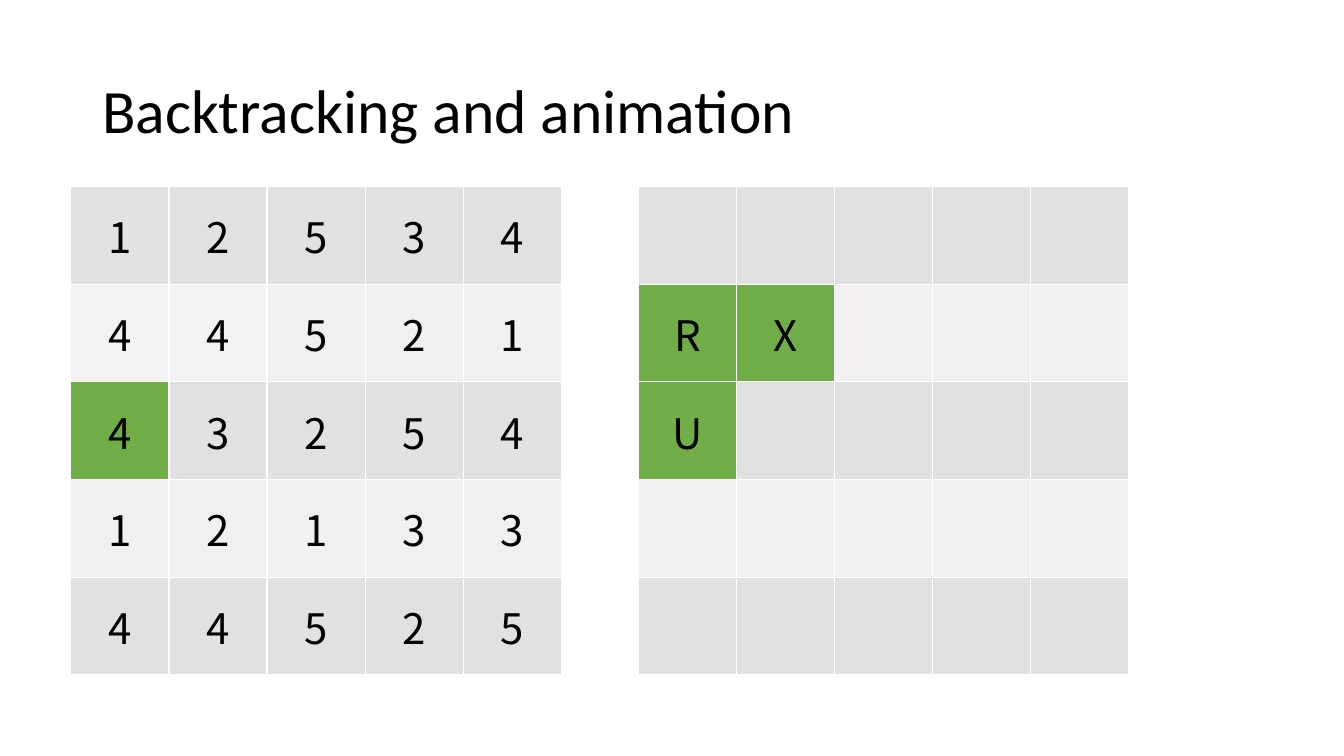
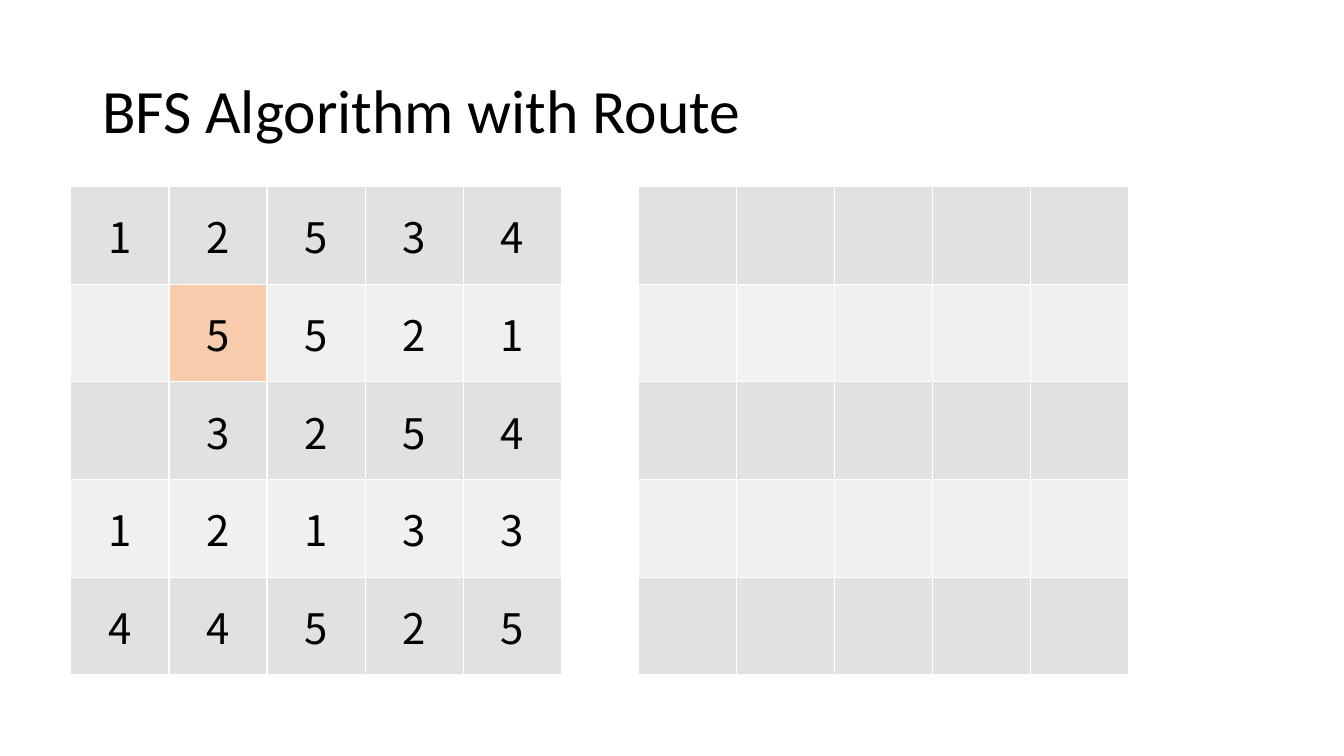
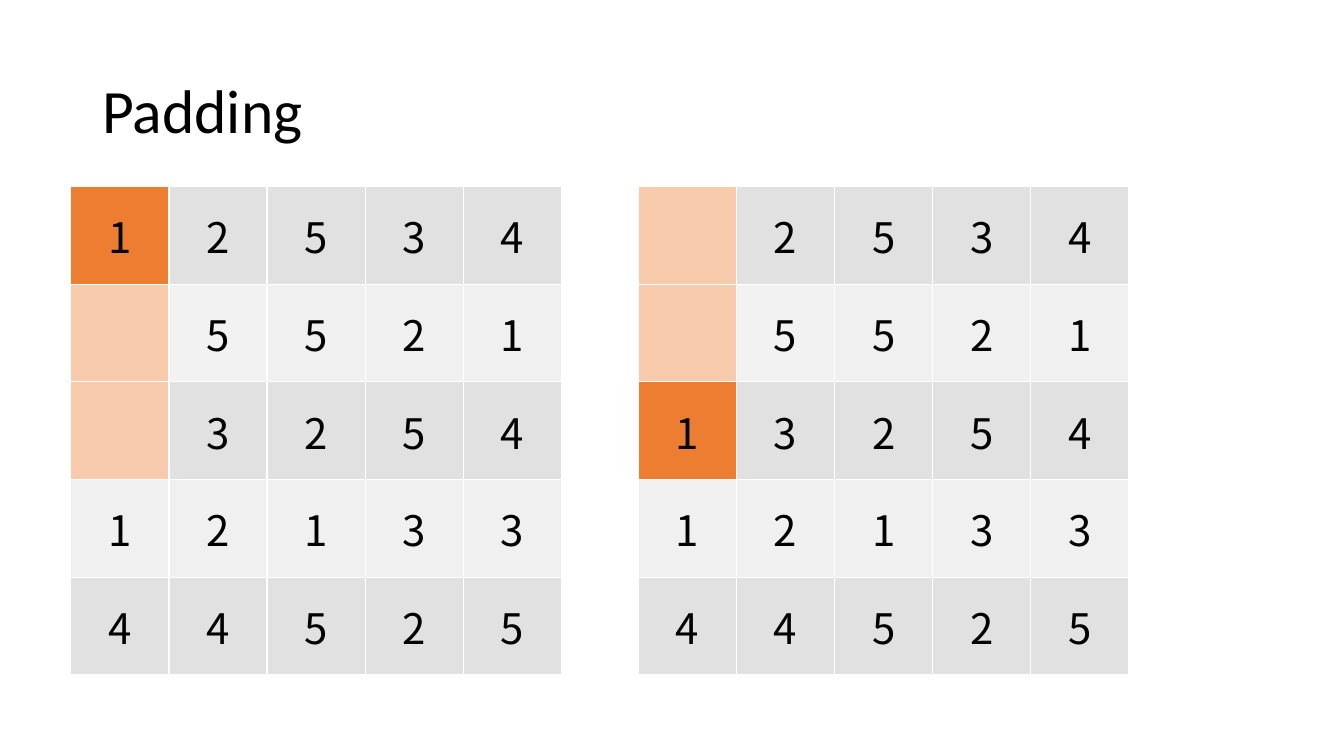
"""Build three slides that show pairs of 5 by 5 puzzle boards."""
from lxml.etree import SubElement
from pptx import Presentation
from pptx.dml.color import RGBColor as RGB
from pptx.enum.text import MSO_ANCHOR as ANCHOR, PP_ALIGN as ALIGN
from pptx.oxml.ns import qn
from pptx.util import Pt

COLORS = {
    "text": "000000",
    "border": "FFFFFF",
    "dark": "E1E1E1",
    "light": "F0F0F0",
    "pale": "F2F2F2",
    "green": "70AD47",
    "orange": "ED7D31",
    "peach": "F8CBAD",
}
TITLE_FONT, CELL_FONT = "Calibri", "Noto Sans CJK JP"
SIZE = 5
COL_W, ROW_H = 70.1, 69.8
BOARD_LEFTS, BOARD_TOP = (50.6, 456), 133.2

START = ["12534", "44521", "43254", "12133", "44525"]
PLAYED = ["12534", " 5521", " 3254", "12133", "44525"]
DROPPED = [" 2534", " 5521", "13254", "12133", "44525"]
ROUTE = ["     ", "RX   ", "U    ", "     ", "     "]
EMPTY = [" " * SIZE] * SIZE

SLIDES = [
    ("Backtracking and animation", [
        (START, {(1, 0): "pale", (1, 1): "pale", (2, 0): "green"}),
        (ROUTE, {(1, 0): "green", (1, 1): "green", (2, 0): "green"}),
    ]),
    ("BFS Algorithm with Route", [
        (PLAYED, {(1, 1): "peach"}),
        (EMPTY, {(1, 1): "pale"}),
    ]),
    ("Padding", [
        (PLAYED, {(0, 0): "orange", (1, 0): "peach", (2, 0): "peach", (1, 1): "pale"}),
        (DROPPED, {(0, 0): "peach", (1, 0): "peach", (2, 0): "orange", (1, 1): "pale"}),
    ]),
]


def color(name):
    return RGB.from_string(COLORS[name])


def set_font(p, name, size):
    p.font.name = name
    p.font.size = Pt(size)
    p.font.color.rgb = color("text")


def add_title(slide, text):
    tf = slide.shapes.add_textbox(Pt(66), Pt(28.8), Pt(828), Pt(104.4)).text_frame
    tf.word_wrap = True
    tf.vertical_anchor = ANCHOR.MIDDLE
    p = tf.paragraphs[0]
    p.text = text
    p.line_spacing = 0.9
    set_font(p, TITLE_FONT, 44)


def set_borders(cell):
    tc_pr = cell._tc.get_or_add_tcPr()
    for i, side in enumerate(("lnL", "lnR", "lnT", "lnB")):
        ln = SubElement(tc_pr, qn(f"a:{side}"), w=str(Pt(1)))
        fill = SubElement(ln, qn("a:solidFill"))
        SubElement(fill, qn("a:srgbClr"), val=COLORS["border"])
        tc_pr.insert(i, ln)


def fill_cell(cell, text, fill):
    cell.fill.solid()
    cell.fill.fore_color.rgb = color(fill)
    set_borders(cell)
    cell.vertical_anchor = ANCHOR.MIDDLE
    p = cell.text_frame.paragraphs[0]
    p.alignment = ALIGN.CENTER
    if text:
        p.text = text
    set_font(p, CELL_FONT, 30)


def add_board(slide, left, rows, highlights):
    table = slide.shapes.add_table(
        SIZE, SIZE, Pt(left), Pt(BOARD_TOP), Pt(SIZE * COL_W), Pt(SIZE * ROW_H)
    ).table
    table.first_row = table.horz_banding = False
    for i in range(SIZE):
        table.columns[i].width = Pt(COL_W)
        table.rows[i].height = Pt(ROW_H)
    for r, row in enumerate(rows):
        band = "light" if r % 2 else "dark"
        for c, text in enumerate(row):
            fill_cell(table.cell(r, c), text.strip(), highlights.get((r, c), band))


def main():
    prs = Presentation()
    prs.slide_width, prs.slide_height = Pt(960), Pt(540)
    for title, boards in SLIDES:
        s = prs.slides.add_slide(prs.slide_layouts[6])
        add_title(s, title)
        for left, (rows, highlights) in zip(BOARD_LEFTS, boards):
            add_board(s, left, rows, highlights)
    prs.save("out.pptx")


if __name__ == "__main__":
    main()
